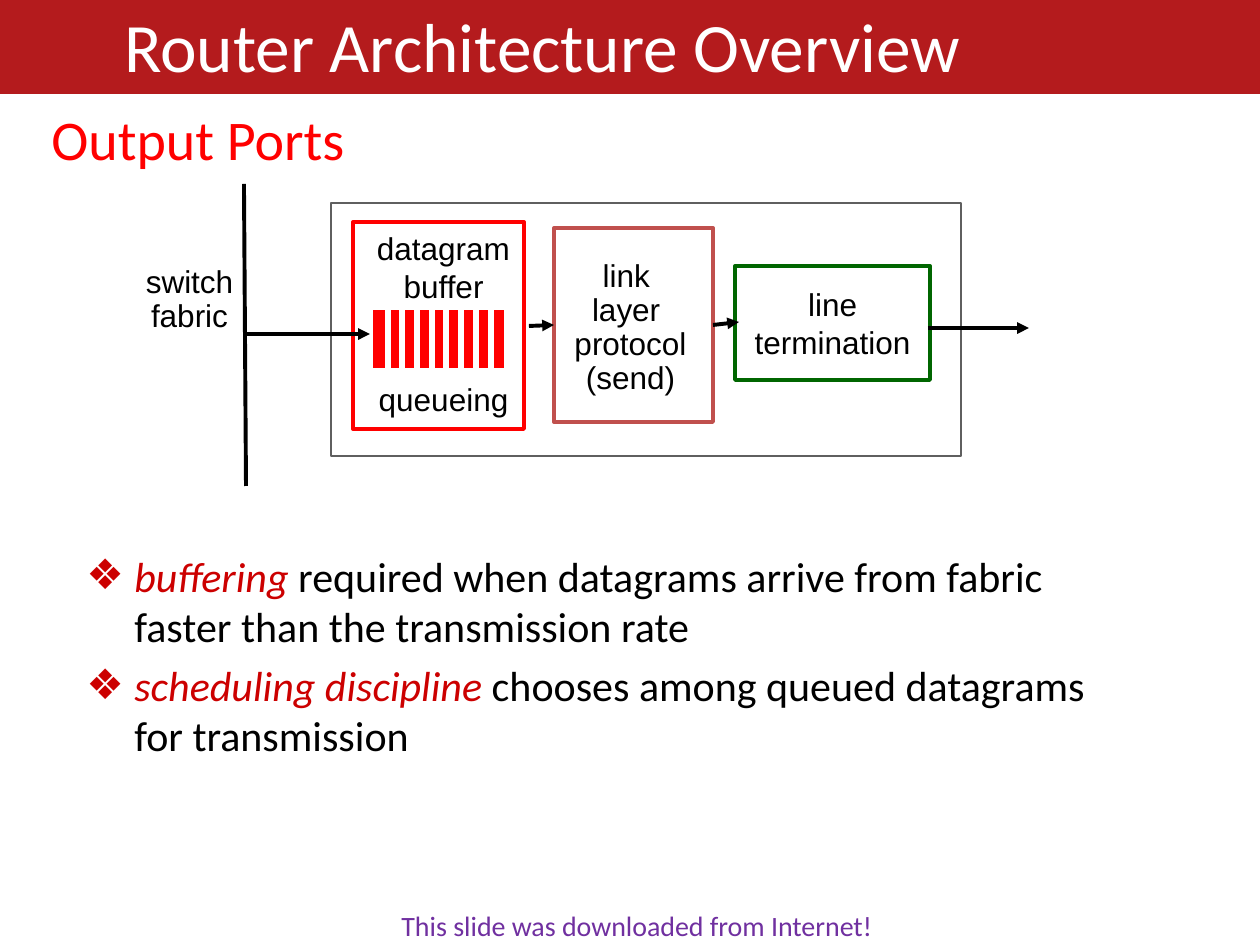
from dataclasses import dataclass

from lxml import etree
from pptx import Presentation
from pptx.dml.color import RGBColor
from pptx.enum.shapes import MSO_CONNECTOR, MSO_SHAPE
from pptx.enum.text import MSO_ANCHOR, MSO_AUTO_SIZE, PP_ALIGN
from pptx.oxml.ns import qn
from pptx.shapes.autoshape import Shape
from pptx.shapes.connector import Connector
from pptx.shapes.shapetree import GroupShapes, SlideShapes
from pptx.text.text import TextFrame, _Paragraph, _Run
from pptx.util import Emu, Pt

STRAIGHT = MSO_CONNECTOR.STRAIGHT
RECTANGLE = MSO_SHAPE.RECTANGLE
LEFT, CENTER = PP_ALIGN.LEFT, PP_ALIGN.CENTER
MIDDLE = MSO_ANCHOR.MIDDLE
FIT_SHAPE, NO_FIT = MSO_AUTO_SIZE.SHAPE_TO_FIT_TEXT, MSO_AUTO_SIZE.NONE
LEFT_SITE, RIGHT_SITE = 1, 3
PIXELS_PER_INCH = 126

BLACK, WHITE, RED = "000000", "FFFFFF", "FF0000"
BAND_RED, TERM_RED, LINK_RED = "B41B1D", "CC0000", "C0504D"
GREEN, GRAY, PURPLE = "006600", "5F5F5F", "7030A0"

Shapes = SlideShapes | GroupShapes


@dataclass(frozen=True)
class Box:
    left: int
    top: int
    width: int
    height: int
    fill: str = WHITE
    line: str | None = None
    weight: float = 2.25


@dataclass(frozen=True)
class Line:
    start: tuple[int, int]
    end: tuple[int, int]
    color: str = BLACK
    weight: float = 2.25
    arrow: bool = False


@dataclass(frozen=True)
class Label:
    left: int
    top: int
    width: int
    height: int
    text: str
    size: int
    color: str


@dataclass(frozen=True)
class Bullet:
    term: str
    explanation: str


FRAME = Box(331, 203, 630, 253, line=GRAY, weight=1.5)
TERMINATION = Box(735, 266, 195, 114, line=GREEN)
LINK_LAYER = Box(554, 228, 159, 194, line=LINK_RED)
LINK_TEXT = Box(558, 271, 145, 115)
FABRIC_TEXT = Box(117, 243, 145, 115)
BUFFER = Box(353, 222, 171, 207, line=RED)
QUEUE = Box(370, 307, 137, 64, fill=RED, line=WHITE, weight=3)
DIVIDERS = [
    Line((x, 309), (x, 370), WHITE, 3)
    for x in (388 + index * 103 // 7 for index in range(8))
]
FABRIC_LINES = [
    Line((244, 184), (246, 486)),
    Line((243, 334), (370, 334), arrow=True),
]
LABELS = [
    Label(39, 98, 321, 81, "Output Ports", 32, RED),
    Label(389, 902, 572, 47, "This slide was downloaded from Internet!", 16, PURPLE),
]
BULLETS = [
    Bullet("buffering", " required when datagrams arrive from fabric faster than the transmission rate"),
    Bullet("scheduling discipline", " chooses among queued datagrams for transmission"),
]


def px(pixels: int) -> Emu:
    return Emu(round(pixels * 914400 / PIXELS_PER_INCH))


def rgb(color: str) -> RGBColor:
    return RGBColor.from_string(color)


def add_run(paragraph: _Paragraph, text: str, size: float, color: str, font: str = "Calibri") -> _Run:
    run = paragraph.add_run()
    run.text = text
    run.font.name = font
    run.font.size = Pt(size)
    run.font.color.rgb = rgb(color)
    return run


def next_paragraph(frame: TextFrame, index: int) -> _Paragraph:
    return frame.add_paragraph() if index else frame.paragraphs[0]


def write_lines(frame: TextFrame, lines: list[str], spacing: float = 1.0) -> None:
    frame.word_wrap = False
    for index, text in enumerate(lines):
        paragraph = next_paragraph(frame, index)
        paragraph.alignment = CENTER
        paragraph.line_spacing = spacing
        add_run(paragraph, text, 18, BLACK, "Arial")


def draw_box(shapes: Shapes, box: Box) -> Shape:
    shape = shapes.add_shape(RECTANGLE, px(box.left), px(box.top), px(box.width), px(box.height))
    shape.shadow.inherit = False
    shape.fill.solid()
    shape.fill.fore_color.rgb = rgb(box.fill)
    if box.line:
        shape.line.color.rgb = rgb(box.line)
        shape.line.width = Pt(box.weight)
    else:
        shape.line.fill.background()
    shape.text_frame.vertical_anchor = MIDDLE
    return shape


def draw_line(shapes: Shapes, line: Line) -> Connector:
    connector = shapes.add_connector(STRAIGHT, *map(px, line.start + line.end))
    connector.line.color.rgb = rgb(line.color)
    connector.line.width = Pt(line.weight)
    if line.arrow:
        etree.SubElement(connector.line._get_or_add_ln(), qn("a:tailEnd"), type="triangle")
    etree.SubElement(connector._element.spPr, qn("a:effectLst"))
    return connector


def draw_label(shapes: Shapes, label: Label) -> None:
    shape = shapes.add_textbox(px(label.left), px(label.top), px(label.width), px(label.height))
    frame = shape.text_frame
    frame.word_wrap = False
    frame.auto_size = FIT_SHAPE
    frame.paragraphs[0].alignment = LEFT
    add_run(frame.paragraphs[0], label.text, label.size, label.color)


def draw_bullets(shapes: Shapes, bullets: list[Bullet]) -> None:
    frame = shapes.add_textbox(px(74), px(544), px(1071), px(126)).text_frame
    frame.word_wrap = True
    for index, bullet in enumerate(bullets):
        paragraph = next_paragraph(frame, index)
        properties = paragraph._p.get_or_add_pPr()
        properties.set("marL", str(px(48)))
        properties.set("indent", str(-px(48)))
        bullet_color = etree.SubElement(properties, qn("a:buClr"))
        etree.SubElement(bullet_color, qn("a:srgbClr"), val=TERM_RED)
        etree.SubElement(properties, qn("a:buFont"), typeface="Arial")
        etree.SubElement(properties, qn("a:buChar"), char="❖")
        if index:
            paragraph.space_before = Pt(4.8)
        add_run(paragraph, bullet.term, 24, TERM_RED).font.italic = True
        add_run(paragraph, bullet.explanation, 24, BLACK)


def draw_buffer(shapes: SlideShapes) -> None:
    group = shapes.add_group_shape().shapes
    draw_box(group, BUFFER)
    frame = group.add_textbox(px(364), px(223), px(159), px(202)).text_frame
    write_lines(frame, ["datagram", "buffer", "queueing"])
    frame.paragraphs[2].space_before = Pt(43)
    draw_box(group, QUEUE)
    for divider in DIVIDERS:
        draw_line(group, divider)


def draw_output_port(shapes: SlideShapes) -> None:
    draw_box(shapes, FRAME)
    termination = draw_box(shapes, TERMINATION)
    write_lines(termination.text_frame, ["line", "termination"])
    link_layer = draw_box(shapes, LINK_LAYER)
    draw_line(shapes, Line((529, 326), (554, 325), arrow=True)).end_connect(link_layer, LEFT_SITE)
    draw_line(shapes, Line((713, 325), (739, 322), arrow=True)).begin_connect(link_layer, RIGHT_SITE)
    draw_line(shapes, Line((928, 328), (1029, 328), arrow=True))
    link_text = draw_box(shapes, LINK_TEXT)
    write_lines(link_text.text_frame, ["link ", "layer ", "protocol", "(send)"], 0.9)
    fabric_text = draw_box(shapes, FABRIC_TEXT)
    write_lines(fabric_text.text_frame, ["switch", "fabric"], 0.9)
    draw_buffer(shapes)
    for line in FABRIC_LINES:
        draw_line(shapes, line)


def place_title(shapes: SlideShapes) -> None:
    title = shapes.title
    title.left, title.top, title.width, title.height = px(0), px(-3), px(1085), px(95)
    title.fill.solid()
    title.fill.fore_color.rgb = rgb(BAND_RED)
    frame = title.text_frame
    frame.auto_size = NO_FIT
    frame.vertical_anchor = MIDDLE
    frame.paragraphs[0].alignment = CENTER
    add_run(frame.paragraphs[0], "Router Architecture Overview", 39.6, WHITE)
    shapes._spTree.append(title._element)


def main() -> None:
    presentation = Presentation()
    presentation.slide_width, presentation.slide_height = px(1260), px(945)
    shapes = presentation.slides.add_slide(presentation.slide_layouts[5]).shapes
    draw_box(shapes, Box(0, 0, 1260, 94, fill=BAND_RED))
    draw_bullets(shapes, BULLETS)
    draw_output_port(shapes)
    place_title(shapes)
    for label in LABELS:
        draw_label(shapes, label)
    presentation.save("out.pptx")


if __name__ == "__main__":
    main()
